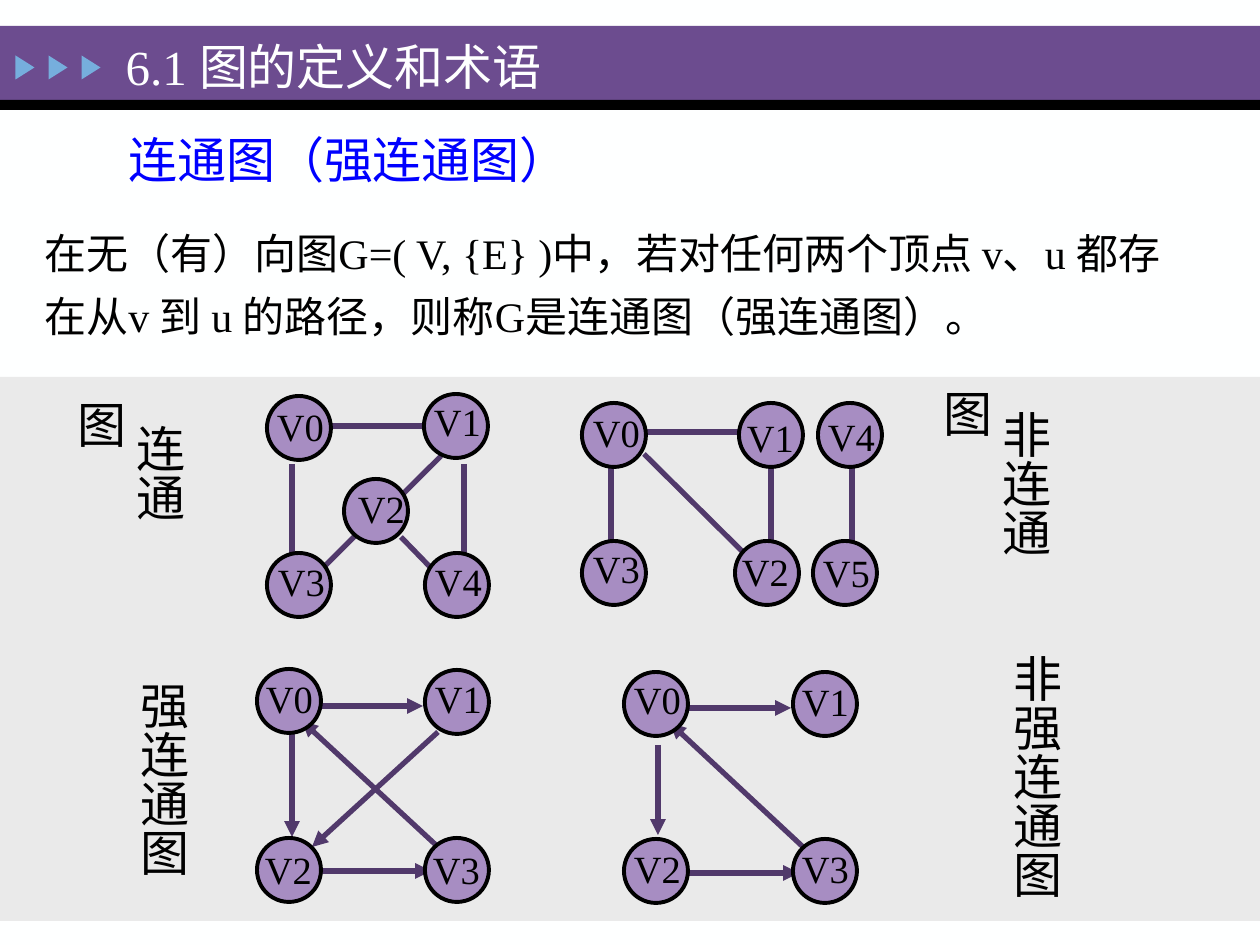
from lxml import etree
from pptx import Presentation
from pptx.dml.color import RGBColor
from pptx.enum.shapes import MSO_CONNECTOR as CONN, MSO_SHAPE as SHAPE
from pptx.enum.text import MSO_ANCHOR as ANCHOR, MSO_AUTO_SIZE as AUTO, PP_ALIGN as ALIGN
from pptx.oxml.ns import qn
from pptx.util import Pt

PX = 914400 / 126
FONT = "Times New Roman"
BLACK, WHITE, BLUE = "000000", "FEFFFF", "0000FF"
BAR, PANEL, MARK = "6C4C8F", "EAEAEA", "76AEDD"
NODE, EDGE = "A78DC2", "51396B"
NODE_SIZE = 64

GRAPHS = [
    dict(
        edges=[(292, 464, 292, 554), (329, 426, 433, 426), (464, 464, 464, 554),
               (359, 532, 321, 570), (441, 456, 403, 494), (401, 537, 433, 570)],
        nodes=[("V0", 267, 396, 260, 397), ("V4", 425, 553, 418, 552),
               ("V3", 267, 553, 261, 552), ("V1", 424, 394, 417, 392),
               ("V2", 344, 479, 341, 479)],
        directed=False),
    dict(
        edges=[(644, 454, 748, 557), (611, 466, 611, 547), (645, 432, 743, 432),
               (771, 466, 771, 547), (852, 460, 852, 542)],
        nodes=[("V0", 582, 403, 576, 403), ("V2", 735, 541, 725, 542),
               ("V3", 582, 541, 576, 539), ("V1", 739, 403, 730, 408),
               ("V5", 813, 541, 806, 543), ("V4", 818, 403, 811, 407)],
        directed=False),
    dict(
        edges=[(292, 732, 292, 837), (320, 871, 431, 871), (320, 706, 423, 706),
               (450, 858, 302, 721), (438, 732, 312, 847)],
        nodes=[("V0", 257, 669, 249, 669), ("V1", 425, 670, 418, 669),
               ("V2", 257, 838, 248, 840), ("V3", 425, 838, 416, 840)],
        directed=True),
    dict(
        edges=[(658, 745, 658, 835), (688, 873, 799, 873), (688, 708, 791, 708),
               (816, 859, 670, 723)],
        nodes=[("V0", 624, 672, 617, 670), ("V1", 793, 672, 785, 672),
               ("V2", 624, 839, 617, 839), ("V3", 793, 839, 785, 839)],
        directed=True),
]

CAPTIONS = [("非连通图", 977, 377, 236, 12), ("连通图", 111, 388, 190, 14),
            ("强连通图", 115, 648, 273, 12), ("非强连通图", 988, 621, 291, 12)]


def emu(*px):
    return [round(v * PX) for v in px]


def rgb(value):
    return RGBColor.from_string(value)


def write(tf, text, size, color=BLACK, spacing=None):
    p = tf.paragraphs[0]
    p.alignment = ALIGN.LEFT
    if spacing:
        p.line_spacing = spacing
    r = p.add_run()
    r.text = text
    r.font.size = Pt(size)
    r.font.name = FONT
    r.font.color.rgb = rgb(color)
    return p


def add_text(s, text, x, y, w, h, size, wrap=True, **fmt):
    tf = s.shapes.add_textbox(*emu(x, y, w, h)).text_frame
    tf.word_wrap = wrap
    tf.auto_size = AUTO.SHAPE_TO_FIT_TEXT
    write(tf, text, size, **fmt)
    return tf


def add_shape(s, kind, x, y, w, h, fill, outline=None):
    sp = s.shapes.add_shape(kind, *emu(x, y, w, h))
    sp.shadow.inherit = False
    sp.fill.solid()
    sp.fill.fore_color.rgb = rgb(fill)
    if outline:
        sp.line.color.rgb = rgb(outline)
        sp.line.width = Pt(2.25)
    else:
        sp.line.fill.background()
    return sp


def add_edge(s, ends, directed):
    line = s.shapes.add_connector(CONN.STRAIGHT, *emu(*ends))
    line.line.color.rgb = rgb(EDGE)
    line.line.width = Pt(3)
    if directed:
        etree.SubElement(line.line._get_or_add_ln(), qn("a:tailEnd"), type="triangle")
    etree.SubElement(line._element.spPr, qn("a:effectLst"))


def add_node(s, name, x, y, label_x, label_y):
    add_shape(s, SHAPE.OVAL, x, y, NODE_SIZE, NODE_SIZE, NODE, BLACK)
    tf = add_text(s, name, label_x, label_y, 89, 59, 22)
    tf.margin_left = emu(17)[0]


def add_graph(s, edges, nodes, directed):
    for ends in edges:
        add_edge(s, ends, directed)
    for node in nodes:
        add_node(s, *node)


def add_caption(s, text, x, y, h, indent):
    tf = add_text(s, text, x, y, 84, h, 28)
    tf._txBody.bodyPr.set("vert", "eaVert")
    pPr = tf.paragraphs[0]._p.get_or_add_pPr()
    pPr.set("marL", "0")
    pPr.set("indent", str(Pt(indent)))


def add_header(s):
    add_shape(s, SHAPE.RECTANGLE, 0, 26, 1260, 74, BAR)
    add_shape(s, SHAPE.RECTANGLE, 0, 100, 1260, 10, BLACK)
    for x in (13, 46, 79):
        add_shape(s, SHAPE.ISOSCELES_TRIANGLE, x, 58, 24, 19, MARK).rotation = 90
    title = s.shapes.title
    title.left, title.top, title.width, title.height = emu(113, 19, 848, 94)
    tf = title.text_frame
    tf.auto_size = AUTO.NONE
    tf.vertical_anchor = ANCHOR.MIDDLE
    write(tf, "6.1 图的定义和术语", 28, color=WHITE)
    s.shapes._spTree.append(title._element)


def main():
    prs = Presentation()
    prs.slide_width, prs.slide_height = emu(1260, 945)
    s = prs.slides.add_slide(prs.slide_layouts[5])
    s.background.fill.solid()
    s.background.fill.fore_color.rgb = rgb(WHITE)
    add_header(s)
    add_shape(s, SHAPE.RECTANGLE, 0, 377, 1260, 544, PANEL)
    for caption in CAPTIONS:
        add_caption(s, *caption)
    for graph in GRAPHS:
        add_graph(s, **graph)
    add_text(s, "连通图（强连通图）", 116, 123, 469, 72, 28, wrap=False, color=BLUE)
    add_text(s, "在无（有）向图G=( V, {E} )中，若对任何两个顶点 v、u 都"
             "存在从v 到 u 的路径，则称G是连通图（强连通图）。",
             32, 209, 1177, 134, 24, spacing=1.25)
    prs.save("out.pptx")


if __name__ == "__main__":
    main()
